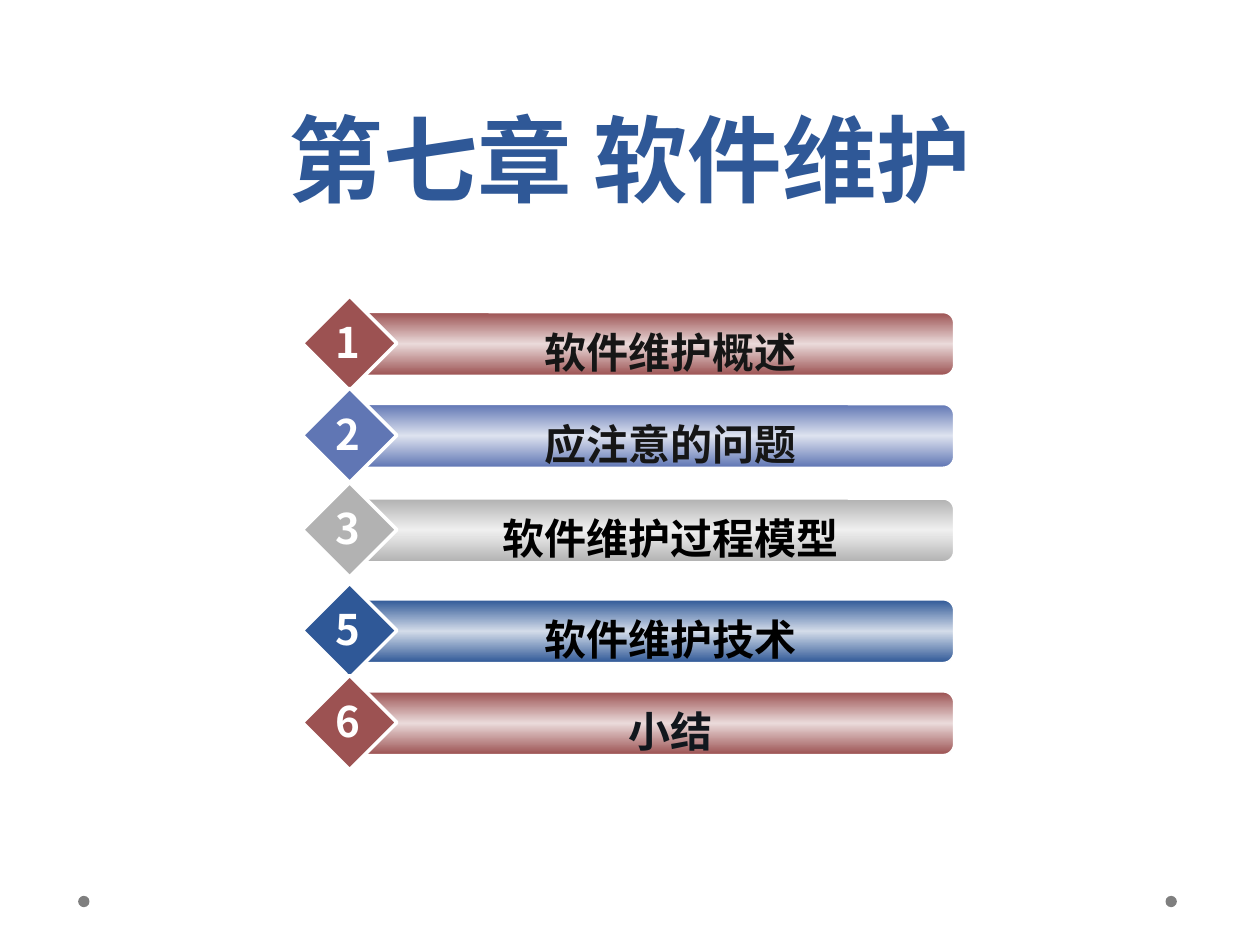
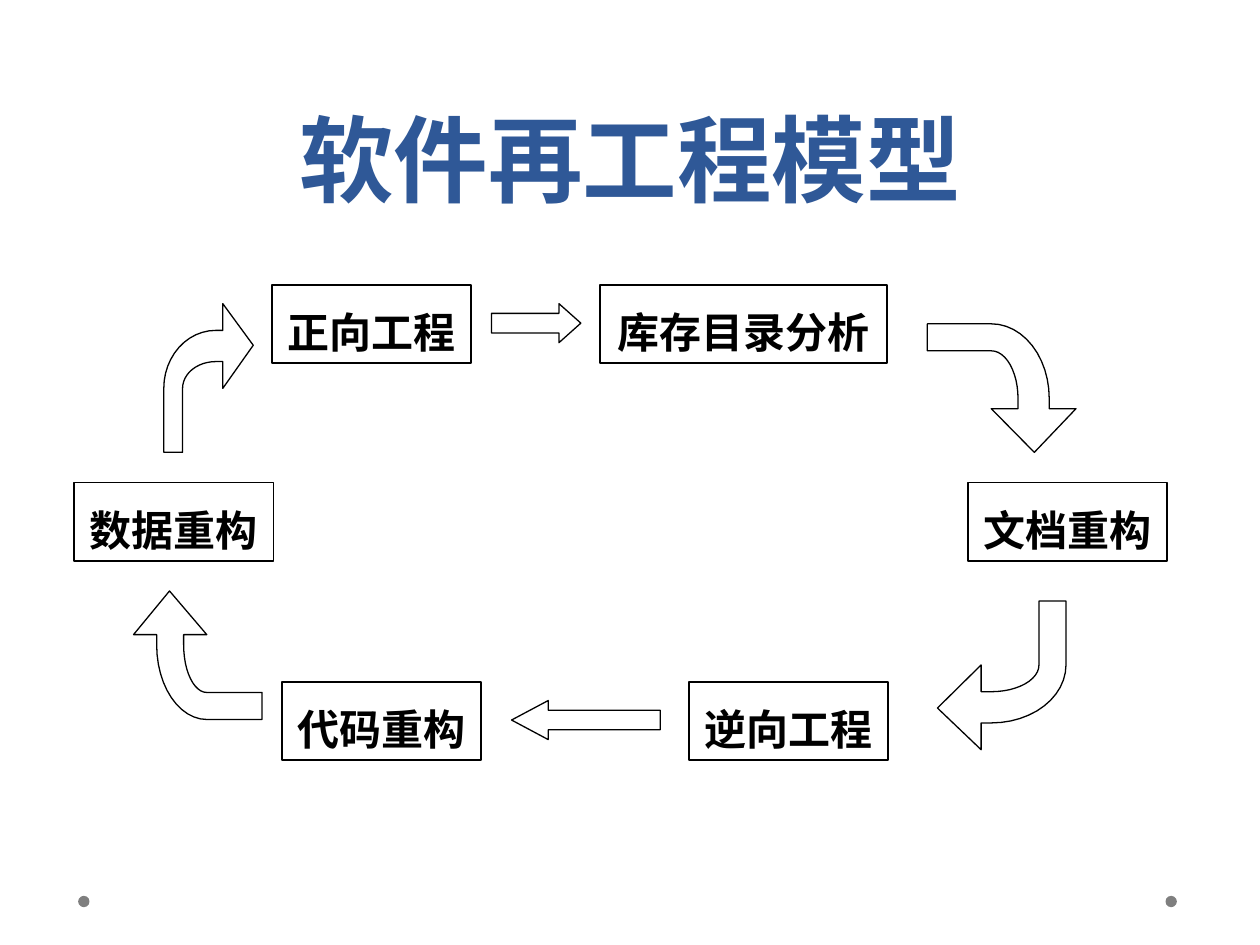
"""Builds two slides on software maintenance: a chapter agenda and a reengineering cycle."""
from copy import deepcopy
from dataclasses import dataclass
from math import cos, pi, sin

from lxml.etree import SubElement
from pptx import Presentation
from pptx.dml.color import RGBColor
from pptx.enum.shapes import MSO_SHAPE as Preset
from pptx.enum.text import MSO_ANCHOR as Anchor, PP_ALIGN as Align
from pptx.oxml.ns import qn
from pptx.util import Inches, Pt

BLUE, RED, PERIWINKLE, GREY = "2F5897", "9C5252", "6076B4", "B2B2B2"
BLACK, INK, WHITE, DOT_GREY = "000000", "161616", "FFFFFF", "7F7F7F"
CJK_FONT, TITLE_FONT, BOX_FONT = "Noto Sans CJK SC", "Roboto", "Times New Roman"
BEND_STEPS = 12


@dataclass(frozen=True)
class Chapter:
    """One agenda row."""
    number: str
    caption: str
    top: float
    color: str
    light: str
    ink: str = INK


@dataclass(frozen=True)
class Stage:
    """One boxed stage of the cycle."""
    caption: str
    left: float
    top: float
    width: float = 1.58


@dataclass(frozen=True)
class Bend:
    """One curved arrow, with its number of clockwise quarter turns."""
    left: float
    top: float
    width: float
    height: float
    turns: int


@dataclass(frozen=True)
class Straight:
    """One straight block arrow."""
    preset: Preset
    left: float
    top: float
    width: float
    head: float


CHAPTERS = [
    Chapter("1", "软件维护概述", 2.48, RED, "EADADA"),
    Chapter("2", "应注意的问题", 3.21, PERIWINKLE, "DDE2EF"),
    Chapter("3", "软件维护过程模型", 3.96, GREY, "EFEFEF", BLACK),
    Chapter("5", "软件维护技术", 4.76, BLUE, "D3DCE9", BLACK),
    Chapter("6", "小结", 5.49, RED, "EADADA", "11171D"),
]
STAGES = [
    Stage("数据重构", 0.59, 3.83),
    Stage("正向工程", 2.16, 2.26),
    Stage("库存目录分析", 4.76, 2.26, 2.28),
    Stage("代码重构", 2.24, 5.41),
    Stage("逆向工程", 5.47, 5.41),
    Stage("文档重构", 7.68, 3.83),
]
BENDS = [
    Bend(1.3, 2.41, 0.71, 1.18, 0),
    Bend(7.36, 2.57, 1.18, 1.02, 1),
    Bend(7.44, 4.77, 1.02, 1.18, 2),
    Bend(1.06, 4.69, 1.02, 1.02, 3),
]
STRAIGHTS = [
    Straight(Preset.RIGHT_ARROW, 3.9, 2.41, 0.71, 0.56),
    Straight(Preset.LEFT_ARROW, 4.06, 5.56, 1.18, 0.94),
]


def rgb(color: str) -> RGBColor:
    """Turn a hex string into a colour."""
    return RGBColor.from_string(color)


def inches(*lengths: float) -> list:
    """Turn numbers into lengths."""
    return [Inches(length) for length in lengths]


def outline(shape, color: str, width: float) -> None:
    """Give a shape a plain line and no shadow."""
    shape.shadow.inherit = False
    shape.line.color.rgb = rgb(color)
    shape.line.width = Pt(width)


def write(shape, text: str, size: float, color: str, font: str = CJK_FONT,
          spacing=None, anchor=Anchor.TOP, wrap: bool = True) -> None:
    """Write one centred bold line into a shape."""
    frame = shape.text_frame
    frame.word_wrap = wrap
    frame.vertical_anchor = anchor
    paragraph = frame.paragraphs[0]
    paragraph.alignment = Align.CENTER
    paragraph.line_spacing = spacing
    run = paragraph.add_run()
    run.text = text
    run.font.size = Pt(size)
    run.font.bold = True
    run.font.name = font
    run.font.color.rgb = rgb(color)
    SubElement(run.font._element, qn("a:ea"), typeface=CJK_FONT)


def add_titled_slide(deck, title: str):
    """Add a slide with the shared title and the two footer dots."""
    slide = deck.slides.add_slide(deck.slide_layouts[6])
    for left in (0.62, 9.25):
        dot = slide.shapes.add_shape(Preset.OVAL, *inches(left, 7.11, 0.09, 0.09))
        dot.shadow.inherit = False
        dot.fill.solid()
        dot.fill.fore_color.rgb = rgb(DOT_GREY)
        dot.line.fill.background()
    heading = slide.shapes.add_textbox(*inches(0.5, 0, 9, 1.75))
    write(heading, title, 54, BLUE, TITLE_FONT, Pt(58), Anchor.BOTTOM)
    return slide


def fill_sheen(bar, edge: str, middle: str) -> None:
    """Fill a bar with a vertical gradient that is light in the middle."""
    bar.fill.gradient()
    bar.fill.gradient_angle = 90
    stop_list = bar._element.spPr.find(qn("a:gradFill")).find(qn("a:gsLst"))
    stop_list.append(deepcopy(stop_list[0]))
    for stop, color, position in zip(bar.fill.gradient_stops, (edge, middle, edge), (0, 0.5, 1)):
        stop.color.rgb = rgb(color)
        stop.position = position


def draw_chapter(slide, chapter: Chapter) -> None:
    """Draw one agenda row as a group."""
    row = slide.shapes.add_group_shape().shapes
    bar = row.add_shape(Preset.ROUNDED_RECTANGLE, *inches(2.82, chapter.top, 4.75, 0.5))
    bar.adjustments[0] = 0.17
    outline(bar, WHITE, 1)
    fill_sheen(bar, chapter.color, chapter.light)
    badge = row.add_shape(Preset.DIAMOND, *inches(2.4, chapter.top - 0.13, 0.75, 0.75))
    outline(badge, WHITE, 2)
    badge.fill.solid()
    badge.fill.fore_color.rgb = rgb(chapter.color)
    caption = row.add_textbox(*inches(3.07, chapter.top + 0.06, 4.5, 0.5))
    write(caption, chapter.caption, 24, chapter.ink)
    number = row.add_textbox(*inches(2.56, chapter.top - 0.02, 0.4, 0.5))
    write(number, chapter.number, 24, WHITE, wrap=False)


def draw_stage(slide, stage: Stage) -> None:
    """Draw one boxed stage."""
    box = slide.shapes.add_shape(Preset.RECTANGLE, *inches(stage.left, stage.top, stage.width, 0.62))
    box.fill.background()
    outline(box, BLACK, 1)
    write(box, stage.caption, 24, BLACK, BOX_FONT, 1.3, Anchor.MIDDLE)


def draw_straight(slide, arrow: Straight) -> None:
    """Draw one straight block arrow."""
    block = slide.shapes.add_shape(arrow.preset, *inches(arrow.left, arrow.top, arrow.width, 0.31))
    block.adjustments[1] = arrow.head
    block.fill.background()
    outline(block, BLACK, 0.75)


def bend_outline() -> list[tuple[float, float]]:
    """Return the curved arrow in a unit square, from the bottom up to the right."""
    center_x, center_y, neck, stem = 0.58, 0.57, 0.66, 0.21
    shaft_top, shaft_bottom = 0.18, 0.39

    def arc(inner_x: float, inner_y: float) -> list[tuple[float, float]]:
        """Return a quarter ellipse from its left end to its top."""
        angles = [pi / 2 * step / BEND_STEPS for step in range(BEND_STEPS + 1)]
        return [(center_x - (center_x - inner_x) * cos(a), center_y - (center_y - inner_y) * sin(a))
                for a in angles]

    head = [(neck, shaft_bottom), (neck, center_y), (1, 0.28), (neck, 0), (neck, shaft_top)]
    return [(0, 1), (stem, 1), *arc(stem, shaft_bottom), *head, *reversed(arc(0, shaft_top))]


def turn(point: tuple[float, float], turns: int) -> tuple[float, float]:
    """Turn a point clockwise in the unit square."""
    x, y = point
    for _ in range(turns):
        x, y = 1 - y, x
    return x, y


def draw_bend(slide, bend: Bend) -> None:
    """Draw one curved arrow."""
    corners = [turn(point, bend.turns) for point in bend_outline()]
    start, *rest = [(Inches(bend.left + x * bend.width), Inches(bend.top + y * bend.height))
                    for x, y in corners]
    builder = slide.shapes.build_freeform(*start)
    builder.add_line_segments(rest, close=True)
    arrow = builder.convert_to_shape()
    arrow.fill.background()
    outline(arrow, BLACK, 0.75)


def main() -> None:
    """Build and save the presentation."""
    deck = Presentation()
    deck.slide_width, deck.slide_height = inches(10, 7.5)
    agenda = add_titled_slide(deck, "第七章 软件维护")
    for chapter in CHAPTERS:
        draw_chapter(agenda, chapter)
    cycle = add_titled_slide(deck, "软件再工程模型")
    for stage in STAGES:
        draw_stage(cycle, stage)
    for arrow in STRAIGHTS:
        draw_straight(cycle, arrow)
    for bend in BENDS:
        draw_bend(cycle, bend)
    deck.save("out.pptx")


if __name__ == "__main__":
    main()
